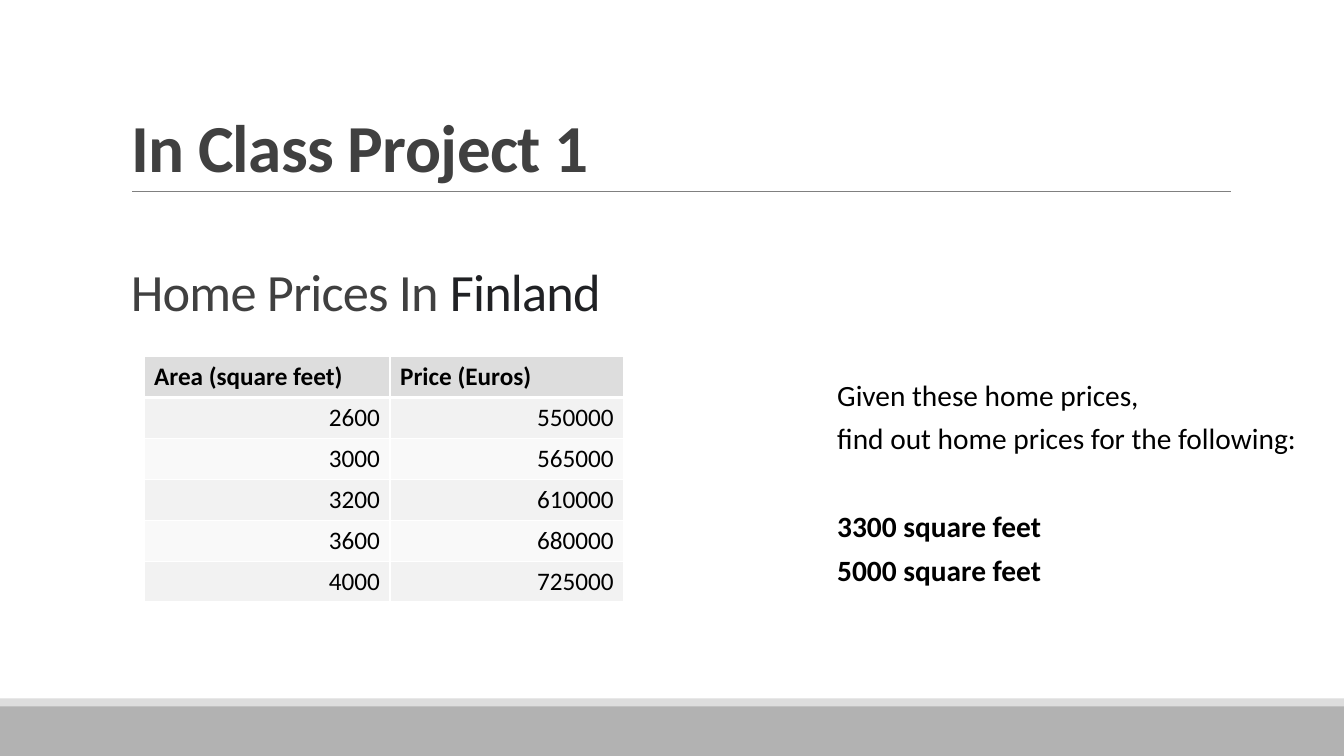
"""Build the home prices class project slide."""
import dataclasses

import lxml.etree
import pptx
import pptx.dml.color
import pptx.enum.shapes
import pptx.enum.text
import pptx.oxml.ns
import pptx.util

Cm = pptx.util.Cm
Pt = pptx.util.Pt
Align = pptx.enum.text.PP_ALIGN
Anchor = pptx.enum.text.MSO_ANCHOR
qn = pptx.oxml.ns.qn


@dataclasses.dataclass(frozen=True)
class Theme:
    font: str = "Calibri"
    heading: str = "404040"
    place: str = "202124"
    text: str = "000000"
    rule: str = "808080"
    footer: str = "B2B2B2"
    pale: str = "DDDDDD"
    stripes: tuple = ("F2F2F2", "F9F9F9")
    border: str = "FFFFFF"
    title_size: float = 48
    subtitle_size: float = 37.4
    task_size: float = 21
    table_size: float = 18


THEME = Theme()
PRICES = [
    ("Area (square feet)", "Price (Euros)"),
    ("2600", "550000"),
    ("3000", "565000"),
    ("3200", "610000"),
    ("3600", "680000"),
    ("4000", "725000"),
]


def rgb(value):
    return pptx.dml.color.RGBColor.from_string(value)


def add_text(para, text, *, size, color=THEME.text, bold=False, spacing=0):
    span = para.add_run()
    span.text = text
    font = span.font
    font.name, font.size, font.bold = THEME.font, Pt(size), bold
    font.color.rgb = rgb(color)
    if spacing:
        span._r.get_or_add_rPr().set("spc", str(round(spacing * 100)))


def add_band(page, top, height, color):
    band = page.shapes.add_shape(
        pptx.enum.shapes.MSO_SHAPE.RECTANGLE, 0, Cm(top), Cm(33.87), Cm(height))
    band.shadow.inherit = False
    band.fill.solid()
    band.fill.fore_color.rgb = rgb(color)
    band.line.fill.background()


def add_rule(page, left, right, y):
    rule = page.shapes.add_connector(
        pptx.enum.shapes.MSO_CONNECTOR.STRAIGHT, Cm(left), Cm(y), Cm(right), Cm(y))
    rule.line.color.rgb = rgb(THEME.rule)
    rule.line.width = Pt(0.5)
    lxml.etree.SubElement(rule._element.spPr, qn("a:effectLst"))


def add_title(page, text):
    title = page.shapes.title
    title.left, title.top, title.width, title.height = Cm(3.05), Cm(0.79), Cm(27.94), Cm(4.04)
    frame = title.text_frame
    frame.auto_size = pptx.enum.text.MSO_AUTO_SIZE.NONE
    frame.vertical_anchor = Anchor.BOTTOM
    para = frame.paragraphs[0]
    para.alignment, para.line_spacing = Align.LEFT, 0.85
    add_text(para, text, size=THEME.title_size, color=THEME.heading, bold=True, spacing=-0.5)


def add_subtitle(page, lead, place):
    box = page.shapes.add_textbox(Cm(3.05), Cm(5.94), Cm(21.46), Cm(2.31))
    frame = box.text_frame
    frame.word_wrap = True
    frame.vertical_anchor = Anchor.BOTTOM
    para = frame.paragraphs[0]
    para.line_spacing, para.space_after = 0.85, Pt(6)
    for text, color in ((lead, THEME.heading), (place, THEME.place)):
        add_text(para, text, size=THEME.subtitle_size, color=color, spacing=-0.6)


def set_borders(cell, **widths):
    properties = cell._tc.get_or_add_tcPr()
    for side in "LRTB":
        line = lxml.etree.SubElement(
            properties, qn(f"a:ln{side}"), w=str(Pt(widths.get(side, 1))))
        fill = lxml.etree.SubElement(line, qn("a:solidFill"))
        lxml.etree.SubElement(fill, qn("a:srgbClr"), val=THEME.border)


def add_price_table(page, rows):
    table = page.shapes.add_table(
        len(rows), 2, Cm(3.63), Cm(8.99), Cm(12.09), Cm(1.03 * len(rows))).table
    table.columns[0].width, table.columns[1].width = Cm(6.2), Cm(5.89)
    for row_index, values in enumerate(rows):
        header = row_index == 0
        fill = THEME.pale if header else THEME.stripes[(row_index - 1) % 2]
        widths = {0: {"B": 3}, 1: {"T": 3}}.get(row_index, {})
        for column_index, value in enumerate(values):
            cell = table.cell(row_index, column_index)
            set_borders(cell, **widths)
            cell.fill.solid()
            cell.fill.fore_color.rgb = rgb(fill)
            para = cell.text_frame.paragraphs[0]
            para.alignment = Align.LEFT if header else Align.RIGHT
            add_text(para, value, size=THEME.table_size, bold=header)


def add_task(page, prompts, areas):
    box = page.shapes.add_textbox(Cm(20.85), Cm(9.37), Cm(12.24), Cm(5.61))
    frame = box.text_frame
    frame.word_wrap = False
    for index, text in enumerate(prompts + areas):
        para = frame.add_paragraph() if index else frame.paragraphs[0]
        para.space_after = Pt(6)
        if index == len(prompts):
            para.space_before = Pt(31.6)
        add_text(para, text, size=THEME.task_size, bold=index >= len(prompts))


def main():
    deck = pptx.Presentation()
    deck.slide_width, deck.slide_height = Cm(33.87), Cm(19.05)
    page = deck.slides.add_slide(deck.slide_layouts[5])
    add_band(page, 17.78, 1.27, THEME.footer)
    add_band(page, 17.6, 0.2, THEME.pale)
    add_rule(page, 3.33, 31.01, 4.83)
    add_title(page, "In Class Project 1")
    add_subtitle(page, "Home Prices In ", "Finland")
    add_price_table(page, PRICES)
    add_task(
        page,
        ["Given these home prices,", "find out home prices for the following:"],
        ["3300 square feet", "5000 square feet"])
    deck.save("out.pptx")


if __name__ == "__main__":
    main()
